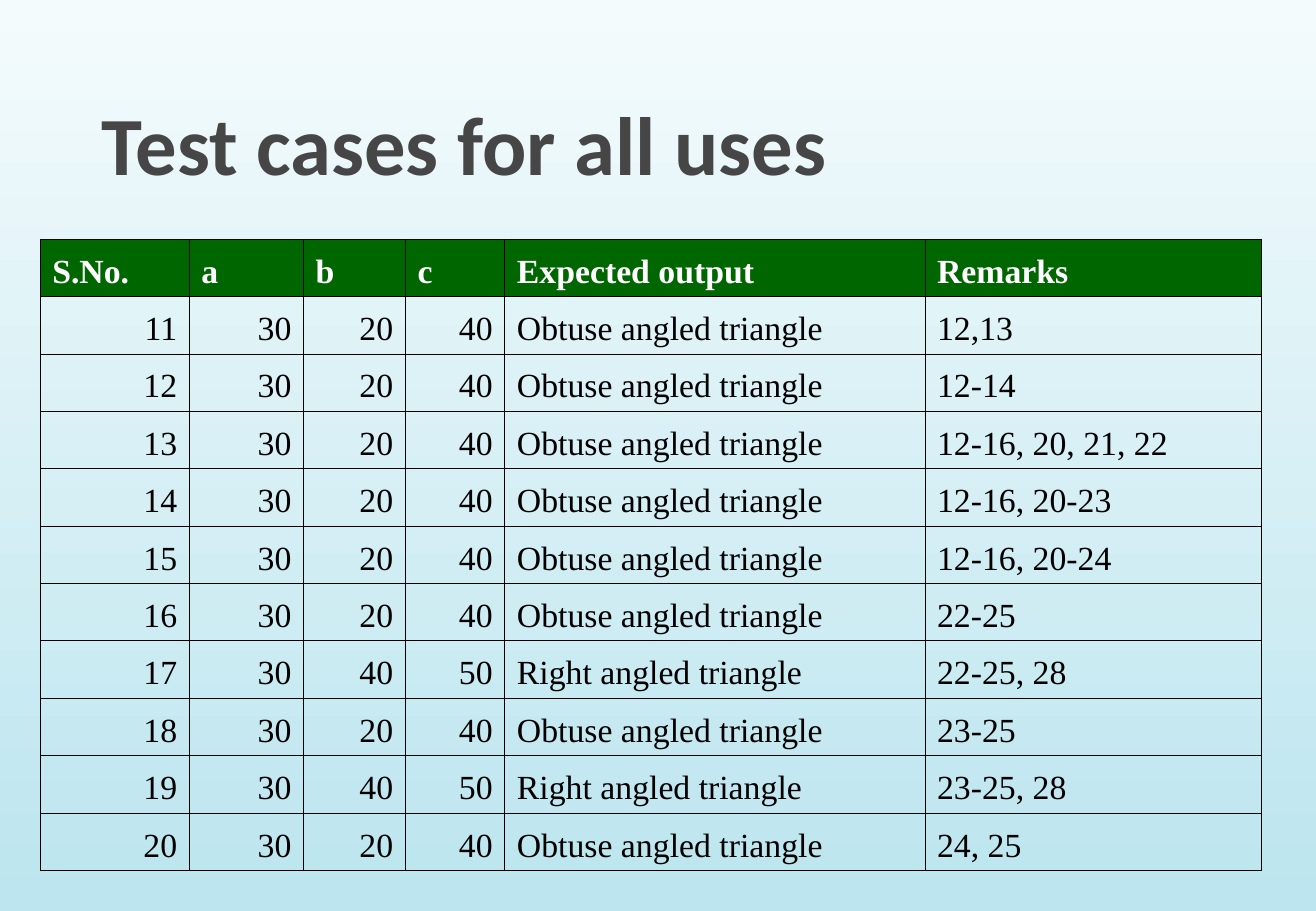
"""Build a slide that tabulates the test cases for all uses."""
import lxml.etree
import pptx
import pptx.dml.color
import pptx.enum.text
import pptx.oxml.ns
import pptx.util

Cm = pptx.util.Cm
Pt = pptx.util.Pt
RGBColor = pptx.dml.color.RGBColor
ALIGN = pptx.enum.text.PP_ALIGN
ANCHOR = pptx.enum.text.MSO_ANCHOR
qn = pptx.oxml.ns.qn

SKY_TOP = RGBColor(0xF4, 0xFB, 0xFC)
SKY_BOTTOM = RGBColor(0xBC, 0xE5, 0xEF)
GREY = RGBColor(0x46, 0x46, 0x46)
GREEN = RGBColor(0x00, 0x66, 0x00)
WHITE = RGBColor(0xFF, 0xFF, 0xFF)
BLACK = RGBColor(0x00, 0x00, 0x00)

HEADERS = ["S.No.", "a", "b", "c", "Expected output", "Remarks"]
COLUMN_WIDTHS = [3.12, 2.39, 2.13, 2.08, 8.79, 7.04]
ROW_HEIGHT = 1.2
FIRST_CASE = 11
NUMBER_COLUMNS = 4
OBTUSE = ("30", "20", "40", "Obtuse angled triangle")
RIGHT = ("30", "40", "50", "Right angled triangle")
CASES = [
    (OBTUSE, "12,13"),
    (OBTUSE, "12-14"),
    (OBTUSE, "12-16, 20, 21, 22"),
    (OBTUSE, "12-16, 20-23"),
    (OBTUSE, "12-16, 20-24"),
    (OBTUSE, "22-25"),
    (RIGHT, "22-25, 28"),
    (OBTUSE, "23-25"),
    (RIGHT, "23-25, 28"),
    (OBTUSE, "24, 25"),
]


class Page:
    """Hold the slide and its text styles, and add elements to it."""

    title_font = "Calibri"
    table_font = "Times New Roman"
    title_size = Pt(49)
    table_size = Pt(20)
    border_width = Pt(0.45)

    def __init__(self, deck):
        """Add a blank slide to the deck."""
        self.slide = deck.slides.add_slide(deck.slide_layouts[6])

    def background(self, top_color, bottom_color):
        """Shade the background from top to bottom."""
        fill = self.slide.background.fill
        fill.gradient()
        fill.gradient_angle = 270
        for stop, color in zip(fill.gradient_stops, (top_color, bottom_color)):
            stop.color.rgb = color

    def span(self, para, text, font, size, color, bold):
        """Add one styled run to a paragraph."""
        span = para.add_run()
        span.text = text
        span.font.name = font
        span.font.size = size
        span.font.color.rgb = color
        span.font.bold = bold

    def title(self, text, left, top, width, height):
        """Add the title, resting on the bottom of its box."""
        box = self.slide.shapes.add_textbox(Cm(left), Cm(top), Cm(width), Cm(height))
        frame = box.text_frame
        frame.word_wrap = True
        frame.vertical_anchor = ANCHOR.BOTTOM
        frame.margin_left = frame.margin_right = Cm(0.3)
        frame.margin_top = frame.margin_bottom = Cm(0.15)
        self.span(frame.paragraphs[0], text, self.title_font, self.title_size, GREY, True)

    def borders(self, cell):
        """Draw a thin line on all four sides of a cell."""
        properties = cell._tc.get_or_add_tcPr()
        for side in ("a:lnL", "a:lnR", "a:lnT", "a:lnB"):
            line = lxml.etree.SubElement(properties, qn(side), w=str(self.border_width))
            fill = lxml.etree.SubElement(line, qn("a:solidFill"))
            lxml.etree.SubElement(fill, qn("a:srgbClr"), val=str(BLACK))

    def cell(self, cell, text, is_header, is_number):
        """Style and fill one table cell."""
        self.borders(cell)
        if is_header:
            cell.fill.solid()
            cell.fill.fore_color.rgb = GREEN
        else:
            cell.fill.background()
        cell.vertical_anchor = ANCHOR.BOTTOM
        para = cell.text_frame.paragraphs[0]
        para.alignment = ALIGN.RIGHT if is_number else ALIGN.LEFT
        color = WHITE if is_header else BLACK
        self.span(para, text, self.table_font, self.table_size, color, is_header)

    def table(self, rows, left, top, widths, row_height):
        """Add a table whose first row is the header."""
        frame = self.slide.shapes.add_table(
            len(rows), len(widths), Cm(left), Cm(top),
            Cm(sum(widths)), Cm(row_height * len(rows)))
        table = frame.table
        table.horz_banding = False
        for column, width in zip(table.columns, widths):
            column.width = Cm(width)
        for row_index, values in enumerate(rows):
            table.rows[row_index].height = Cm(row_height)
            is_header = row_index == 0
            for column_index, text in enumerate(values):
                is_number = not is_header and column_index < NUMBER_COLUMNS
                self.cell(table.cell(row_index, column_index), text, is_header, is_number)


def main():
    """Build and save the deck."""
    deck = pptx.Presentation()
    deck.slide_width = Cm(27.53)
    deck.slide_height = Cm(19.05)
    page = Page(deck)
    page.background(SKY_TOP, SKY_BOTTOM)
    page.title("Test cases for all uses", 1.83, 0.43, 24.54, 3.73)
    rows = [HEADERS]
    for number, (triangle, remarks) in enumerate(CASES, FIRST_CASE):
        rows.append([str(number), *triangle, remarks])
    page.table(rows, 0.84, 5, COLUMN_WIDTHS, ROW_HEIGHT)
    deck.save("out.pptx")


if __name__ == "__main__":
    main()
